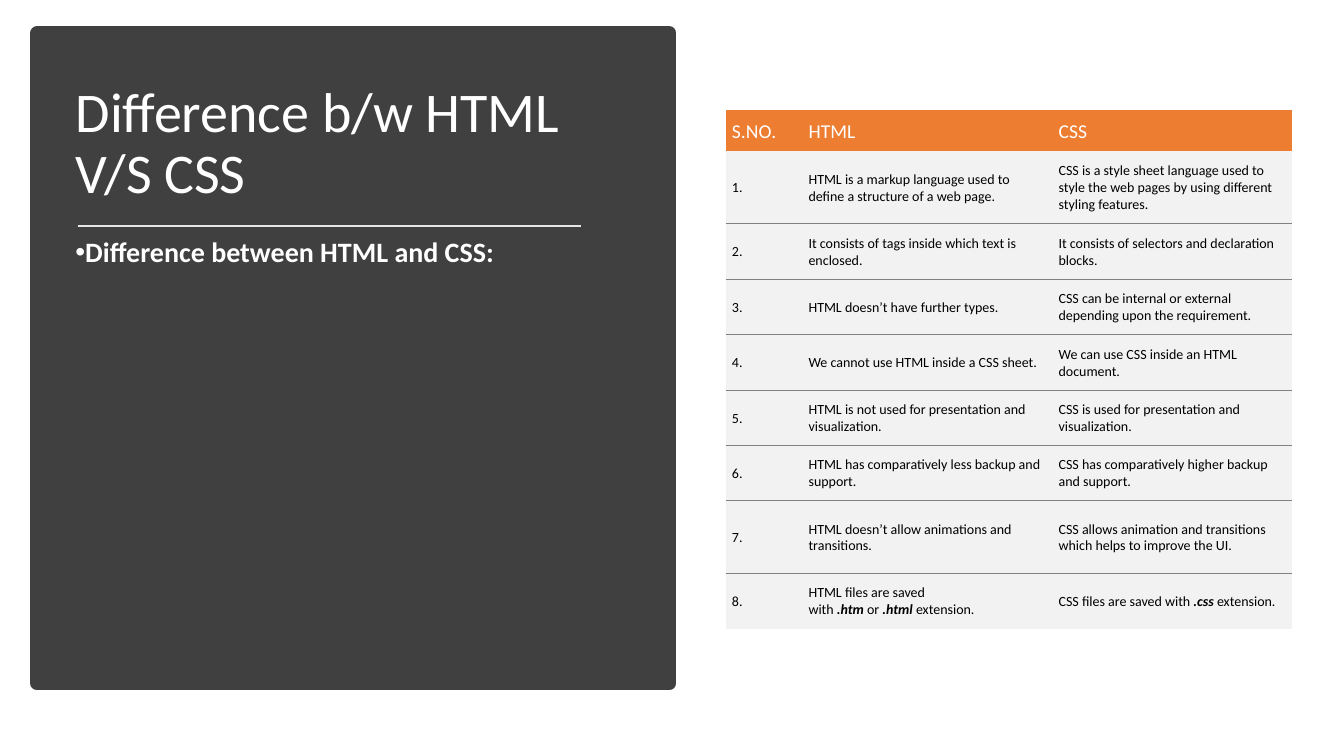
from lxml import etree
from pptx import Presentation
from pptx.dml.color import RGBColor
from pptx.enum.shapes import MSO_CONNECTOR, MSO_SHAPE
from pptx.enum.text import MSO_ANCHOR, MSO_AUTO_SIZE, PP_ALIGN
from pptx.oxml.ns import qn
from pptx.util import Inches, Pt

WHITE = RGBColor(0xFF, 0xFF, 0xFF)
BLACK = RGBColor(0x00, 0x00, 0x00)
CHARCOAL = RGBColor(0x40, 0x40, 0x40)
ORANGE = RGBColor(0xED, 0x7D, 0x31)
PALE_GRAY = RGBColor(0xF2, 0xF2, 0xF2)
RULE_GRAY = RGBColor(0x80, 0x80, 0x80)
DIVIDER_GRAY = RGBColor(0xE7, 0xE6, 0xE6)

COLUMN_WIDTHS = [0.76, 2.48, 2.37]
ROW_HEIGHTS = [0.41, 0.72, 0.55, 0.55, 0.55, 0.55, 0.55, 0.72, 0.55]
HEADINGS = ["S.NO.", "HTML", "CSS"]
# Odd pieces between asterisks are file extensions in bold italics.
COMPARISONS = [
    ("HTML is a markup language used to define a structure of a web page.",
     "CSS is a style sheet language used to style the web pages by using different styling features."),
    ("It consists of tags inside which text is enclosed.",
     "It consists of selectors and declaration blocks."),
    ("HTML doesn’t have further types.",
     "CSS can be internal or external depending upon the requirement."),
    ("We cannot use HTML inside a CSS sheet.",
     "We can use CSS inside an HTML document."),
    ("HTML is not used for presentation and visualization.",
     "CSS is used for presentation and visualization."),
    ("HTML has comparatively less backup and support.",
     "CSS has comparatively higher backup and support."),
    ("HTML doesn’t allow animations and transitions.",
     "CSS allows animation and transitions which helps to improve the UI."),
    ("HTML files are saved with\u00a0*.htm*\u00a0or*\u00a0.html*\u00a0extension.",
     "CSS files are saved with\u00a0*.css*\u00a0extension."),
]


def add_run(paragraph, text, size, color, bold=False, italic=False):
    """Append a Calibri run to a paragraph."""
    run = paragraph.add_run()
    run.text = text
    font = run.font
    font.name, font.size, font.bold, font.italic = "Calibri", Pt(size), bold, italic
    font.color.rgb = color


def set_borders(cell, top, bottom):
    """Draw gray rules above or below a cell and clear its other borders."""
    properties = cell._tc.get_or_add_tcPr()
    for side, visible in (("L", False), ("R", False), ("T", top), ("B", bottom)):
        line = etree.SubElement(properties, qn(f"a:ln{side}"), w=str(Pt(0.75) if visible else 0))
        if visible:
            fill = etree.SubElement(line, qn("a:solidFill"))
            etree.SubElement(fill, qn("a:srgbClr"), val=str(RULE_GRAY))
        else:
            etree.SubElement(line, qn("a:noFill"))


prs = Presentation()
prs.slide_width, prs.slide_height = Inches(13.33), Inches(7.5)
slide = prs.slides.add_slide(prs.slide_layouts[5])
shapes = slide.shapes

# Title on the dark panel
title = shapes.title
title.left, title.top, title.width, title.height = map(Inches, (0.65, 0.7, 5.73, 1.47))
frame = title.text_frame
frame.word_wrap, frame.auto_size = True, MSO_AUTO_SIZE.NONE
frame.vertical_anchor = MSO_ANCHOR.MIDDLE
heading = frame.paragraphs[0]
heading.alignment, heading.line_spacing = PP_ALIGN.LEFT, 0.9
add_run(heading, "Difference b/w HTML V/S CSS", 40, WHITE)

panel = shapes.add_shape(MSO_SHAPE.RECTANGLE, *map(Inches, (0.37, 0.33, 6.27, 6.45)))
panel.shadow.inherit = False
panel.fill.solid()
panel.fill.fore_color.rgb = CHARCOAL
panel.line.color.rgb = CHARCOAL
panel.line.width = Pt(10)
title.element.addprevious(panel.element)  # panel goes behind the title

divider = shapes.add_connector(MSO_CONNECTOR.STRAIGHT, *map(Inches, (0.77, 2.24, 5.76, 2.24)))
divider.line.color.rgb = DIVIDER_GRAY
divider.line.width = Pt(1.75)
etree.SubElement(divider.element.spPr, qn("a:effectLst"))

# Bulleted subtitle
subtitle = shapes.add_textbox(*map(Inches, (0.65, 2.32, 5.73, 4.13)))
subtitle.text_frame.word_wrap = True
bullet = subtitle.text_frame.paragraphs[0]
bullet.line_spacing, bullet.space_after = 0.9, Pt(6)
add_run(bullet, "Difference between HTML and CSS:", 20, WHITE, bold=True)
bullet_properties = bullet._p.get_or_add_pPr()
bullet_properties.set("marL", "0")
bullet_properties.set("indent", str(-Inches(0.25)))
etree.SubElement(bullet_properties, qn("a:buFont"), typeface="Arial")
etree.SubElement(bullet_properties, qn("a:buChar"), char="•")

# Comparison table
rows = [HEADINGS] + [(f"{number}.", *pair) for number, pair in enumerate(COMPARISONS, 1)]
table = shapes.add_table(len(rows), len(HEADINGS), *map(Inches, (7.2, 1.09, 5.61, 5.14))).table
table.horz_banding = False
for column, width in zip(table.columns, COLUMN_WIDTHS):
    column.width = Inches(width)
for row, height in zip(table.rows, ROW_HEIGHTS):
    row.height = Inches(height)

for r, texts in enumerate(rows):
    is_header = r == 0
    for c, text in enumerate(texts):
        cell = table.cell(r, c)
        set_borders(cell, top=r > 1, bottom=0 < r < len(rows) - 1)
        cell.fill.solid()
        cell.fill.fore_color.rgb = ORANGE if is_header else PALE_GRAY
        cell.vertical_anchor = MSO_ANCHOR.MIDDLE
        cell.margin_left = cell.margin_right = Inches(0.06)
        cell.margin_top = Inches(0.09)
        cell.margin_bottom = Inches(0.06 if is_header else 0.08)
        for i, piece in enumerate(text.split("*")):
            is_extension = i % 2 == 1
            add_run(cell.text_frame.paragraphs[0], piece, 14 if is_header else 10,
                    WHITE if is_header else BLACK, is_extension, is_extension)

prs.save("out.pptx")
